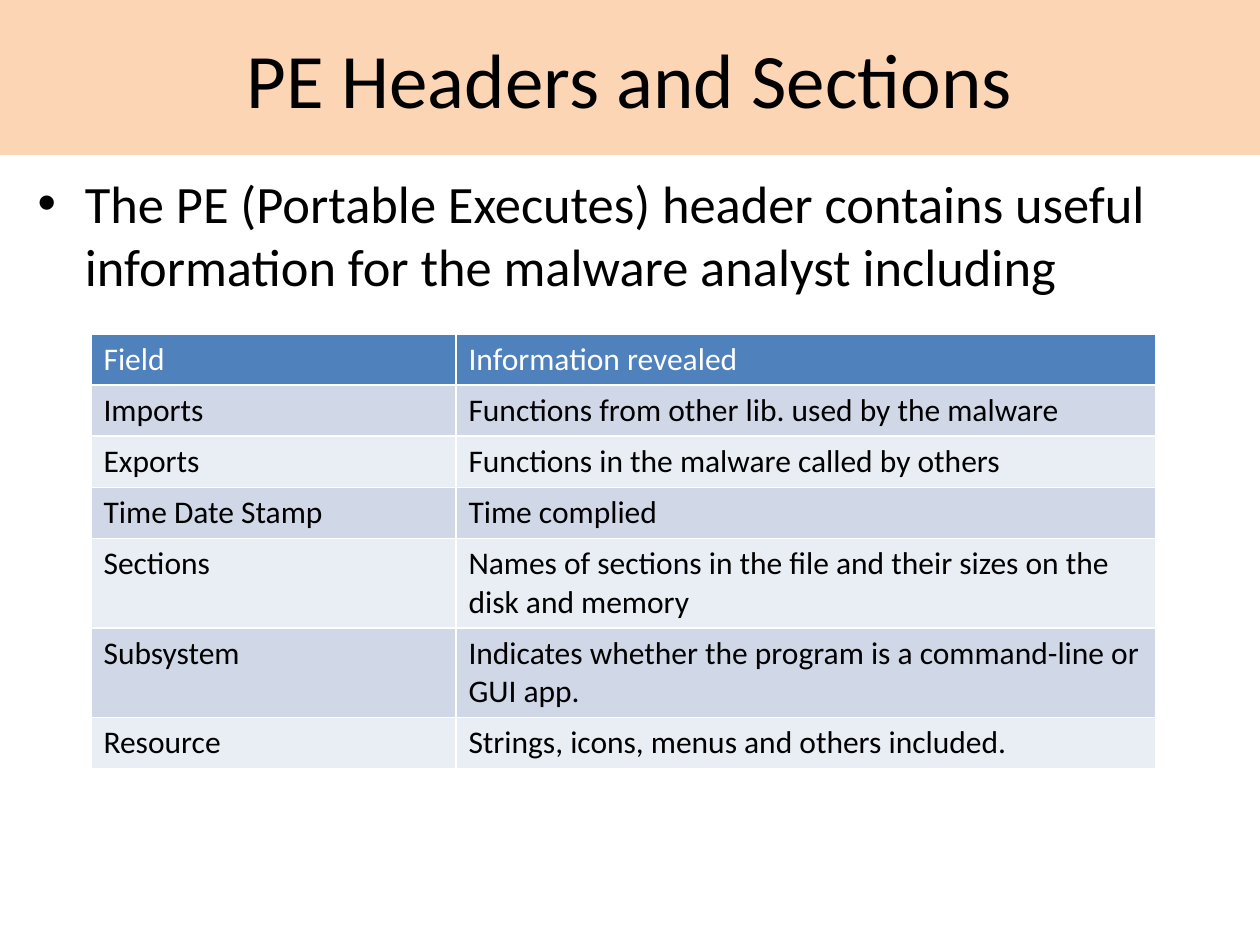
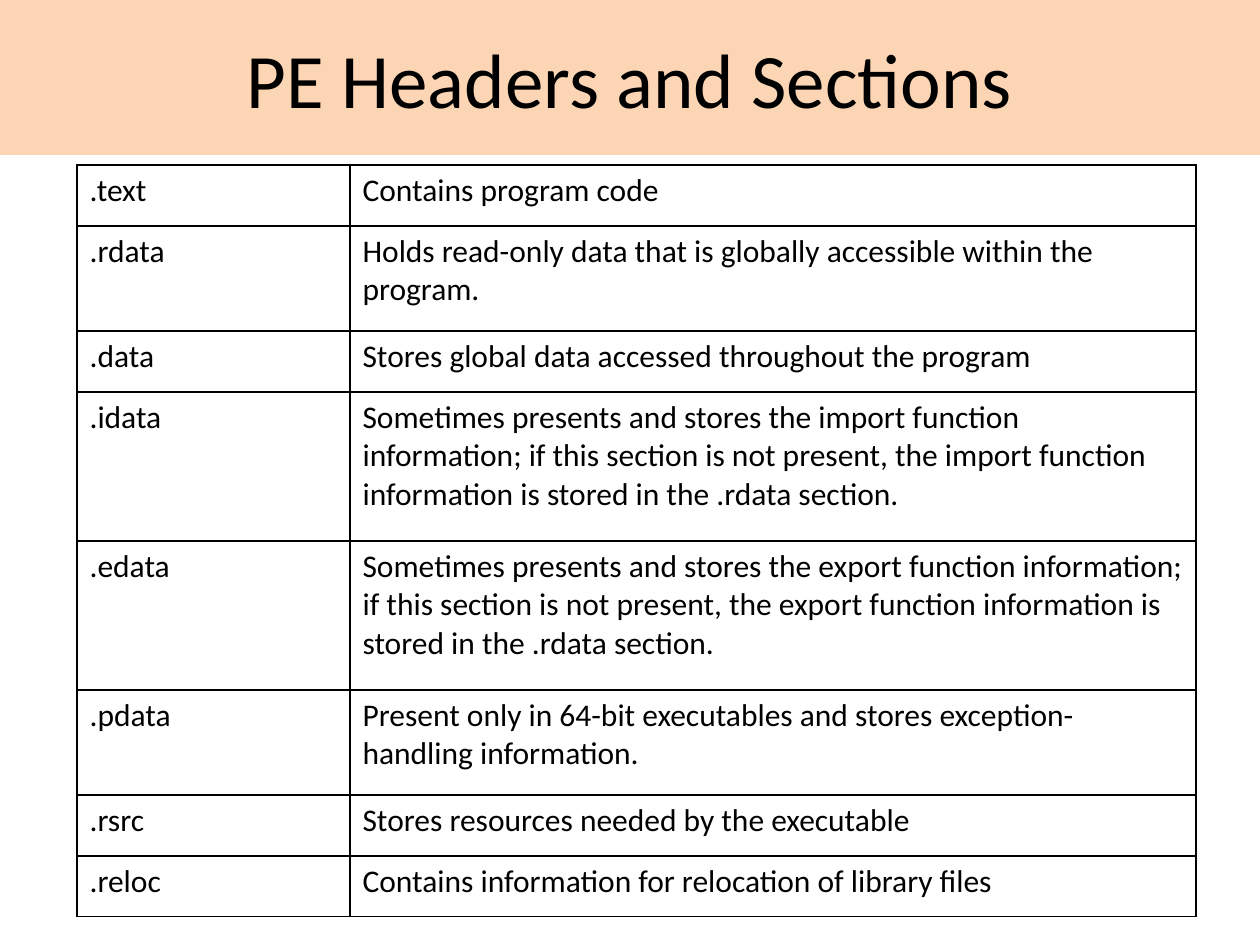
from dataclasses import dataclass
from math import ceil

from lxml.etree import SubElement
from pptx import Presentation
from pptx.dml.color import RGBColor
from pptx.enum.text import MSO_ANCHOR as Anchor, MSO_AUTO_SIZE as AutoSize, PP_ALIGN as Align
from pptx.oxml.ns import qn
from pptx.util import Emu, Pt

PX_PER_INCH = 126
SLIDE_WIDTH, SLIDE_HEIGHT = 1260, 945
TITLE_AND_CONTENT, TITLE_ONLY = 1, 5
TITLE = "PE Headers and Sections"

HEADER_FIELDS = [
    ("Field", "Information revealed"),
    ("Imports", "Functions from other lib. used by the malware"),
    ("Exports", "Functions in the malware called by others"),
    ("Time Date Stamp", "Time complied"),
    ("Sections", "Names of sections in the file and their sizes on the disk and memory"),
    ("Subsystem", "Indicates whether the program is a command-line or GUI app."),
    ("Resource", "Strings, icons, menus and others included."),
]
STORED = (
    "Sometimes presents and stores the {0} function information; if this section is not "
    "present, the {0} function information is stored in the .rdata section."
)
SECTIONS = [
    (".text", "Contains program code"),
    (".rdata", "Holds read-only data that is globally accessible within the program."),
    (".data", "Stores global data accessed throughout the program"),
    (".idata", STORED.format("import")),
    (".edata", STORED.format("export")),
    (".pdata", "Present only in 64-bit executables and stores exception-handling information."),
    (".rsrc", "Stores resources needed by the executable"),
    (".reloc", "Contains information for relocation of library files"),
]


@dataclass(frozen=True)
class Theme:
    """Colours, font and type sizes shared by the slides."""

    font: str = "Calibri"
    title_size: int = 44
    body_size: int = 30
    table_size: int = 18
    band: str = "FCD5B5"
    text: str = "000000"
    white: str = "FFFFFF"
    header: str = "4F81BD"
    stripes: tuple = ("E9EDF4", "D0D8E8")


def px(length):
    """Turn pixels into EMU."""
    return Emu(round(length * 914400 / PX_PER_INCH))


def set_text(frame, text, *, font, size, color, align=Align.LEFT, anchor=Anchor.TOP):
    """Fill a text frame with one formatted paragraph."""
    frame.text = text
    frame.vertical_anchor = anchor
    paragraph = frame.paragraphs[0]
    paragraph.alignment = align
    paragraph.space_before = Pt(0)
    paragraph.font.name = font
    paragraph.font.size = Pt(size)
    paragraph.font.bold = False
    paragraph.font.color.rgb = RGBColor.from_string(color)


def draw_borders(cell, color):
    """Draw a one-point line on each side of a cell."""
    properties = cell._tc.get_or_add_tcPr()
    for side in ("lnL", "lnR", "lnT", "lnB"):
        line = SubElement(properties, qn(f"a:{side}"), w=str(Pt(1)))
        fill = SubElement(line, qn("a:solidFill"))
        SubElement(fill, qn("a:srgbClr"), val=color)


class Deck:
    """Holds the presentation, its theme and the current slide."""

    def __init__(self, theme):
        self.theme = theme
        self.presentation = Presentation()
        self.presentation.slide_width = px(SLIDE_WIDTH)
        self.presentation.slide_height = px(SLIDE_HEIGHT)
        self.slide = None

    def add_slide(self, layout, title):
        """Start a slide with its title on the full-width band."""
        layouts = self.presentation.slide_layouts
        self.slide = self.presentation.slides.add_slide(layouts[layout])
        shape = self.slide.shapes.title
        self.place(shape, 0, 0, SLIDE_WIDTH, 155)
        shape.fill.solid()
        shape.fill.fore_color.rgb = RGBColor.from_string(self.theme.band)
        self.style_text(shape.text_frame, title, size=self.theme.title_size,
                        align=Align.CENTER, anchor=Anchor.MIDDLE)

    def add_body(self, text, left, top, width, height):
        """Put a bullet in the body placeholder."""
        shape = self.slide.placeholders[1]
        self.place(shape, left, top, width, height)
        self.style_text(shape.text_frame, text, size=self.theme.body_size)

    def add_table(self, rows, left, top, columns, *, line_chars, line_height, padding,
                  border, striped=False):
        """Add a two-column table whose row heights follow the lines of text."""
        heights = [padding + line_height * ceil(len(detail) / line_chars) for _, detail in rows]
        table = self.slide.shapes.add_table(
            len(rows), len(columns), px(left), px(top), px(sum(columns)), px(sum(heights))
        ).table
        table.first_row = table.horz_banding = striped
        for column, width in zip(table.columns, columns):
            column.width = px(width)
        for index, (row, texts) in enumerate(zip(table.rows, rows)):
            row.height = px(heights[index])
            header = striped and index == 0
            fill = self.theme.stripes[index % 2] if striped else self.theme.white
            for cell, text in zip(row.cells, texts):
                draw_borders(cell, border)
                cell.fill.solid()
                cell.fill.fore_color.rgb = RGBColor.from_string(
                    self.theme.header if header else fill)
                self.style_text(cell.text_frame, text, size=self.theme.table_size,
                                color=self.theme.white if header else self.theme.text)

    def style_text(self, frame, text, **style):
        """Set text in the theme font and colour unless told otherwise."""
        set_text(frame, text, **{"font": self.theme.font, "color": self.theme.text, **style})

    @staticmethod
    def place(shape, left, top, width, height):
        """Move a placeholder and keep its text at the given size."""
        shape.left, shape.top = px(left), px(top)
        shape.width, shape.height = px(width), px(height)
        shape.text_frame.auto_size = AutoSize.NONE


def main():
    """Build both slides and save them."""
    theme = Theme()
    deck = Deck(theme)

    deck.add_slide(TITLE_AND_CONTENT, TITLE)
    deck.add_body("The PE (Portable Executes) header contains useful information "
                  "for the malware analyst including", 25, 165, 1211, 704)
    deck.add_table(HEADER_FIELDS, 91, 334, (365, 700), line_chars=50, line_height=38,
                   padding=13, border=theme.white, striped=True)

    deck.add_slide(TITLE_ONLY, TITLE)
    deck.add_table(SECTIONS, 77, 165, (273, 846), line_chars=58, line_height=44,
                   padding=17, border=theme.text)

    deck.presentation.save("out.pptx")


if __name__ == "__main__":
    main()
